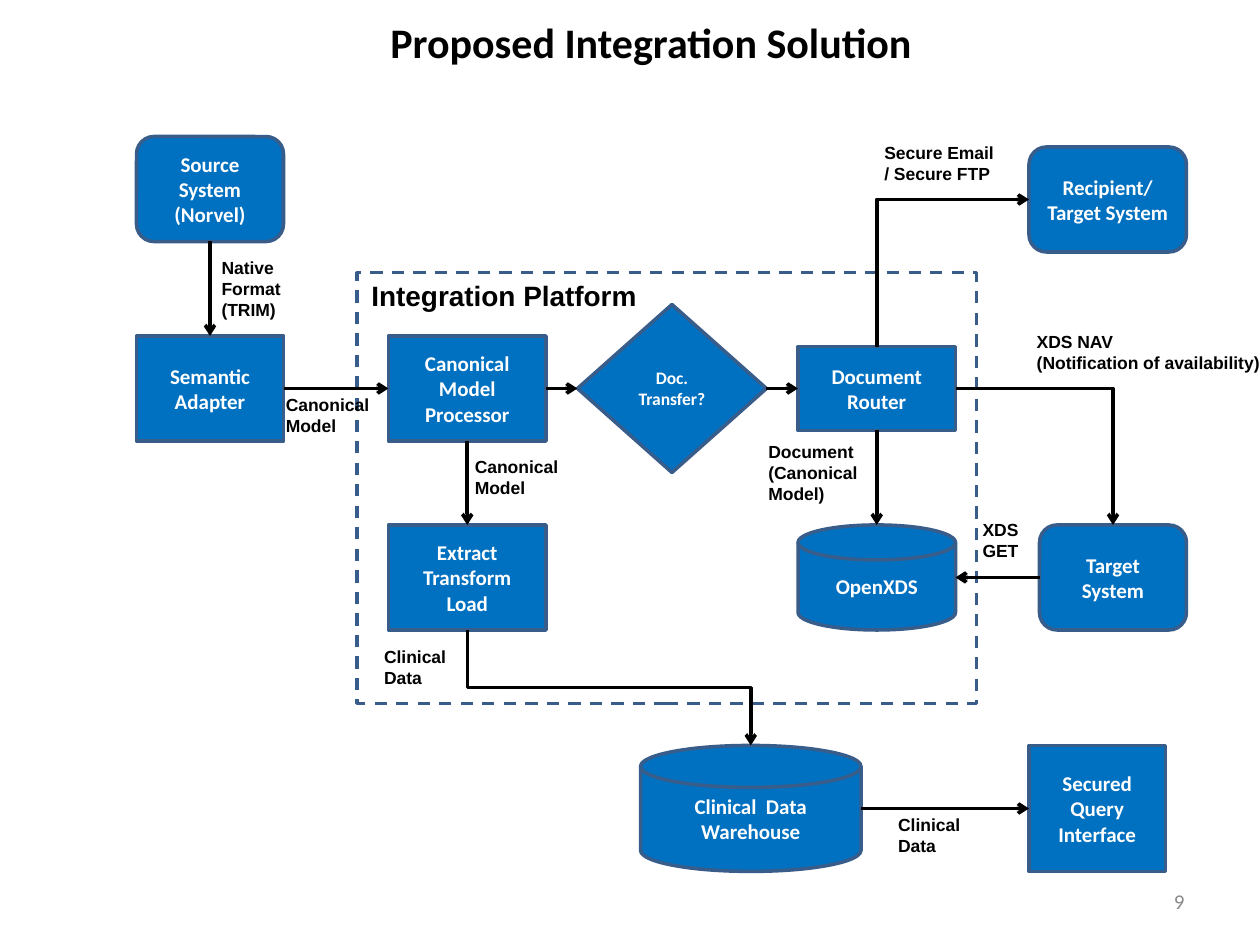
"""Build the proposed integration solution flow diagram on a grid of twelfths of an inch."""
from lxml.etree import SubElement
from pptx import Presentation
from pptx.dml.color import RGBColor
from pptx.enum.dml import MSO_LINE
from pptx.enum.shapes import MSO_CONNECTOR as LINK, MSO_SHAPE as SHAPE
from pptx.enum.text import MSO_ANCHOR as ANCHOR, MSO_AUTO_SIZE as AUTO, PP_ALIGN as ALIGN
from pptx.oxml.ns import qn
from pptx.util import Inches, Pt

BLACK, WHITE, GRAY, BLUE, EDGE = "000000", "FFFFFF", "898989", "0070C0", "385D8A"
TOP, LEFT, BOTTOM, RIGHT = range(4)
UNIT = Inches(1) // 12
TITLE = "Proposed Integration Solution"
PLATFORM = (34, 26, 59, 41)

# name: shape, (column, row, columns, rows), paragraphs
NODES = {
    "source": (SHAPE.ROUNDED_RECTANGLE, (13, 13, 14, 10), ["Source System", "(Norvel)"]),
    "adapter": (SHAPE.RECTANGLE, (13, 32, 14, 10), ["Semantic Adapter"]),
    "processor": (SHAPE.RECTANGLE, (37, 32, 15, 10), ["Canonical", "Model", "Processor"]),
    "decision": (SHAPE.FLOWCHART_DECISION, (55, 29, 18, 16), ["Doc.", "Transfer?"]),
    "router": (SHAPE.RECTANGLE, (76, 33, 15, 8), ["Document", "Router"]),
    "etl": (SHAPE.RECTANGLE, (37, 50, 15, 10), ["Extract", "Transform", "Load"]),
    "openxds": (SHAPE.FLOWCHART_MAGNETIC_DISK, (76, 50, 15, 10), ["OpenXDS"]),
    "target": (SHAPE.ROUNDED_RECTANGLE, (99, 50, 14, 10), ["Target", "System"]),
    "recipient": (SHAPE.ROUNDED_RECTANGLE, (98, 14, 15, 10), ["Recipient/", "Target System"]),
    "warehouse": (SHAPE.FLOWCHART_MAGNETIC_DISK, (61, 71, 21, 12), ["Clinical  Data", "Warehouse"]),
    "query": (SHAPE.RECTANGLE, (98, 71, 13, 12), ["Secured", "Query", "Interface"]),
}
STRAIGHT = [
    ("source", BOTTOM, "adapter", TOP),
    ("adapter", RIGHT, "processor", LEFT),
    ("processor", RIGHT, "decision", LEFT),
    ("decision", RIGHT, "router", LEFT),
    ("processor", BOTTOM, "etl", TOP),
    ("router", BOTTOM, "openxds", TOP),
    ("target", LEFT, "openxds", RIGHT),
    ("warehouse", RIGHT, "query", LEFT),
]
BENT = [
    ("etl", BOTTOM, "warehouse", TOP, "bentConnector3"),
    ("router", RIGHT, "target", TOP, "bentConnector2"),
    ("router", TOP, "recipient", LEFT, "bentConnector2"),
]
# left, top, width in inches, size, paragraphs
LABELS = [
    (2.85, 2.16, 2.4, 16, ["Integration Platform"]),
    (2.17, 3.08, 0.9, 10, ["Canonical", "Model"]),
    (1.66, 1.99, 0.72, 10, ["Native", "Format", "(TRIM)"]),
    (3.67, 3.57, 0.9, 10, ["Canonical", "Model"]),
    (8.13, 2.58, 2, 10, ["XDS NAV", "(Notification of availability)"]),
    (7.7, 4.07, 0.54, 10, ["XDS", "GET"]),
    (2.95, 5.08, 0.73, 10, ["Clinical", "Data"]),
    (6, 3.45, 0.96, 10, ["Document", "(Canonical", "Model)"]),
    (7.03, 6.41, 0.73, 10, ["Clinical", "Data"]),
    (6.92, 1.08, 1.15, 10, ["Secure Email", "/ Secure FTP"]),
]


def rgb(value):
    return RGBColor.from_string(value)


def write(tf, lines, size, font, color, align, bold=True, anchor=ANCHOR.TOP):
    tf.vertical_anchor = anchor
    for i, line in enumerate(lines):
        p = tf.add_paragraph() if i else tf.paragraphs[0]
        p.alignment = align
        r = p.add_run()
        r.text = line
        r.font.size, r.font.name, r.font.bold = Pt(size), font, bold
        r.font.color.rgb = rgb(color)


def add_box(s, kind, cell, line_width):
    sp = s.shapes.add_shape(kind, *(n * UNIT for n in cell))
    sp.shadow.inherit = False
    sp.line.color.rgb, sp.line.width = rgb(EDGE), Pt(line_width)
    return sp


def add_node(s, kind, cell, lines):
    sp = add_box(s, kind, cell, 2)
    sp.fill.solid()
    sp.fill.fore_color.rgb = rgb(BLUE)
    sp.text_frame.word_wrap = True
    size = 10 if kind == SHAPE.FLOWCHART_DECISION else 12
    write(sp.text_frame, lines, size, "Calibri", WHITE, ALIGN.CENTER, anchor=ANCHOR.MIDDLE)
    return sp


def side_point(sp, side):
    dx, dy = [(0.5, 0), (0, 0.5), (0.5, 1), (1, 0.5)][side]
    return int(sp.left + dx * sp.width), int(sp.top + dy * sp.height)


def style_arrow(c):
    c.line.color.rgb, c.line.width = rgb(BLACK), Pt(2)
    SubElement(c.line._get_or_add_ln(), qn("a:tailEnd"), type="arrow")
    SubElement(c._element.spPr, qn("a:effectLst"))


def add_straight(s, a, side_a, b, side_b):
    c = s.shapes.add_connector(LINK.STRAIGHT, *side_point(a, side_a), *side_point(b, side_b))
    disk = SHAPE.FLOWCHART_MAGNETIC_DISK
    if a.auto_shape_type != disk:
        c.begin_connect(a, side_a)
    if b.auto_shape_type != disk:
        c.end_connect(b, side_b)
    style_arrow(c)


def add_bent(s, a, side_a, b, side_b, preset):
    x1, y1 = side_point(a, side_a)
    x2, y2 = side_point(b, side_b)
    upright = side_a in (TOP, BOTTOM)
    down = y2 > y1
    if upright:
        mx, my, w, h = (x1 + x2) // 2, (y1 + y2) // 2, abs(y2 - y1), abs(x2 - x1)
        x1, x2 = mx - w // 2, mx + w // 2
        y1, y2 = my - h // 2, my + h // 2
        if down:
            x1, x2 = x2, x1
    c = s.shapes.add_connector(LINK.ELBOW, x1, y1, x2, y2)
    spPr = c._element.spPr
    spPr.find(qn("a:prstGeom")).set("prst", preset)
    if upright:
        spPr.find(qn("a:xfrm")).set("rot", str(270 * 60000))
    style_arrow(c)


def add_label(s, left, top, width, size, lines):
    height = 0.1 + len(lines) * size / 60
    sp = s.shapes.add_textbox(*map(Inches, (left, top, width, height)))
    tf = sp.text_frame
    tf.word_wrap, tf.auto_size = False, AUTO.SHAPE_TO_FIT_TEXT
    write(tf, lines, size, "Arial", BLACK, ALIGN.LEFT)


def main():
    prs = Presentation()
    prs.slide_width, prs.slide_height = Inches(10), Inches(7.5)
    s = prs.slides.add_slide(prs.slide_layouts[5])

    platform = add_box(s, SHAPE.RECTANGLE, PLATFORM, 1.75)
    platform.fill.background()
    platform.line.dash_style = MSO_LINE.DASH

    title = s.shapes.title
    title.left, title.top, title.width, title.height = 8 * UNIT, UNIT, 108 * UNIT, 13 * UNIT
    write(title.text_frame, [TITLE], 24, "Calibri", BLACK, ALIGN.CENTER)

    nodes = {name: add_node(s, *node) for name, node in NODES.items()}
    for a, side_a, b, side_b in STRAIGHT:
        add_straight(s, nodes[a], side_a, nodes[b], side_b)
    for a, side_a, b, side_b, preset in BENT:
        add_bent(s, nodes[a], side_a, nodes[b], side_b, preset)
    for label in LABELS:
        add_label(s, *label)

    number = s.shapes.add_textbox(*map(Inches, (7.17, 6.95, 2.33, 0.4)))
    number.text_frame.word_wrap = True
    write(number.text_frame, ["9"], 12, "Calibri", GRAY, ALIGN.RIGHT, False, ANCHOR.MIDDLE)
    prs.save("out.pptx")


if __name__ == "__main__":
    main()
